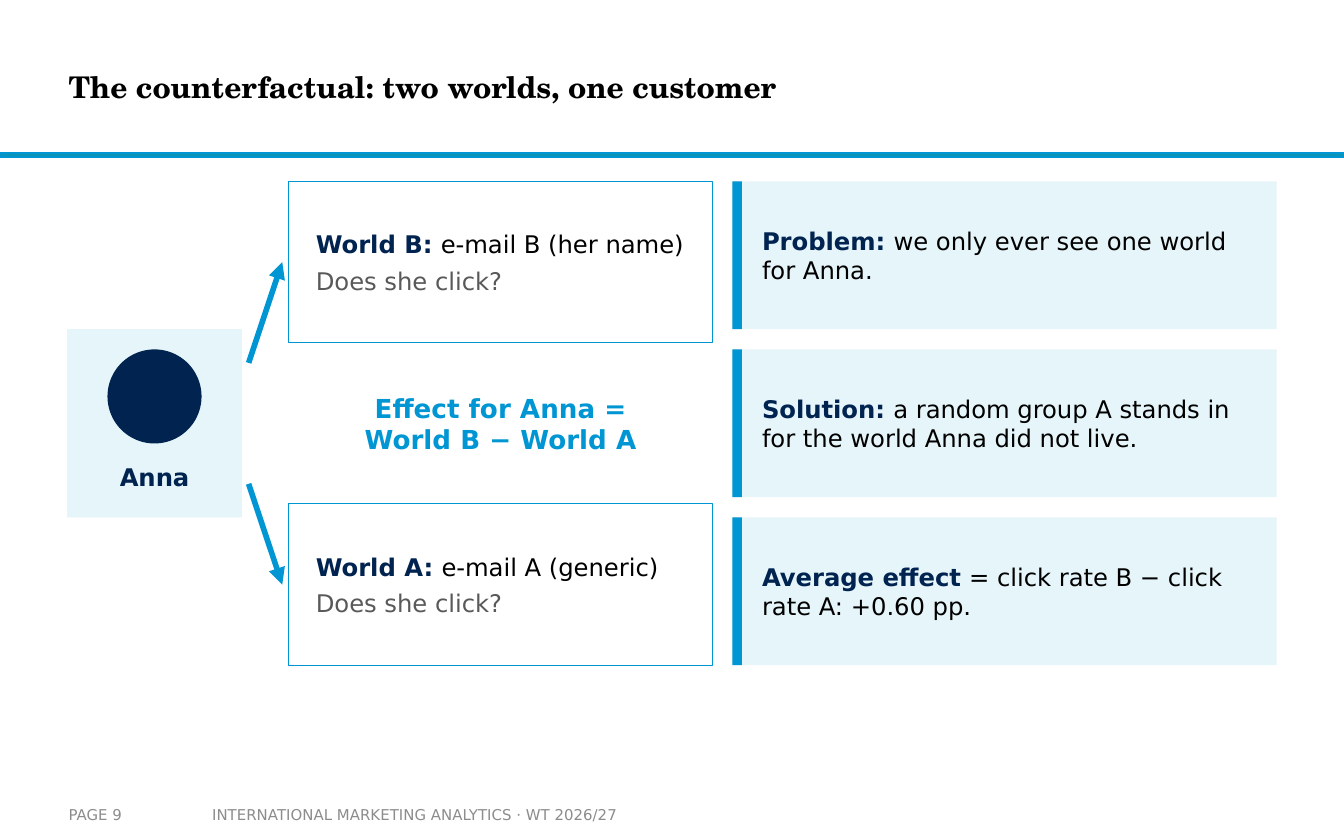
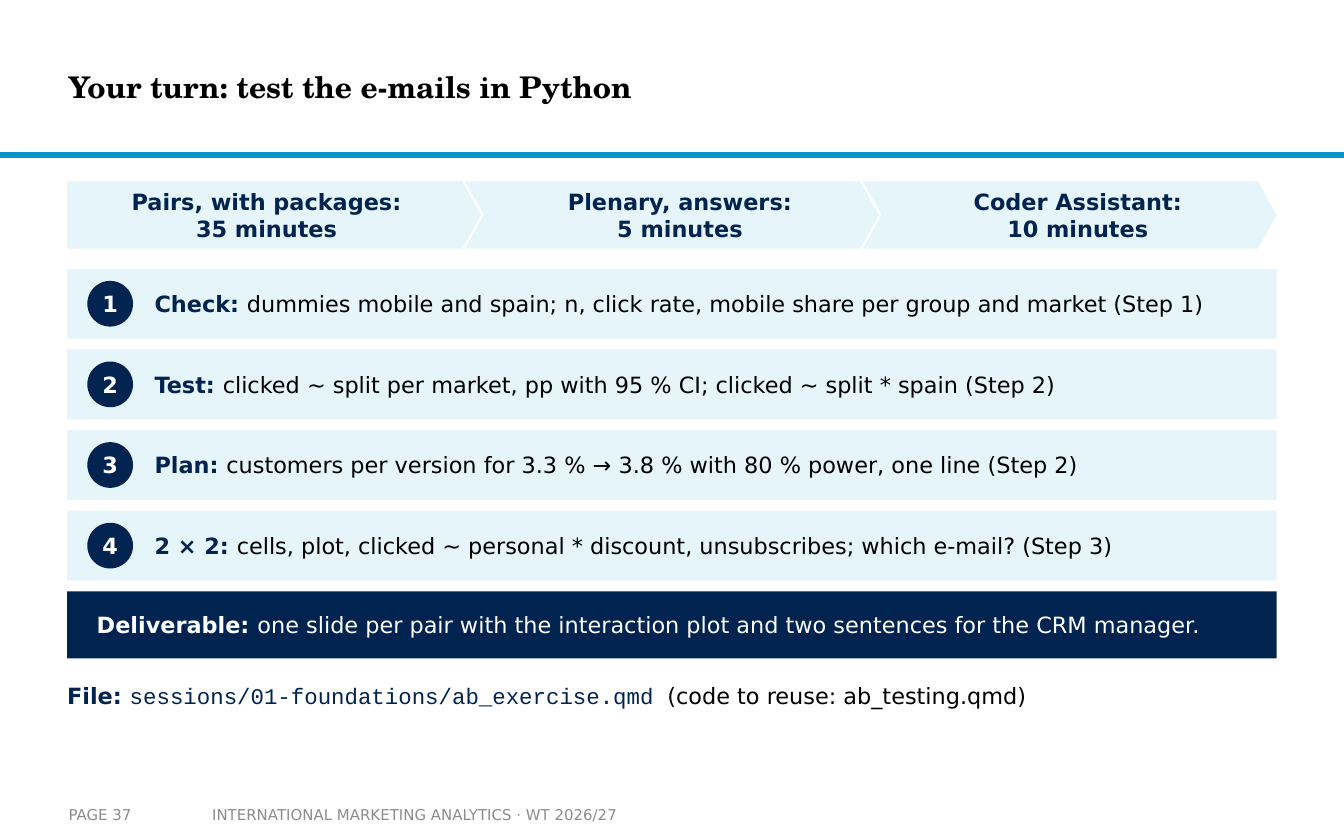
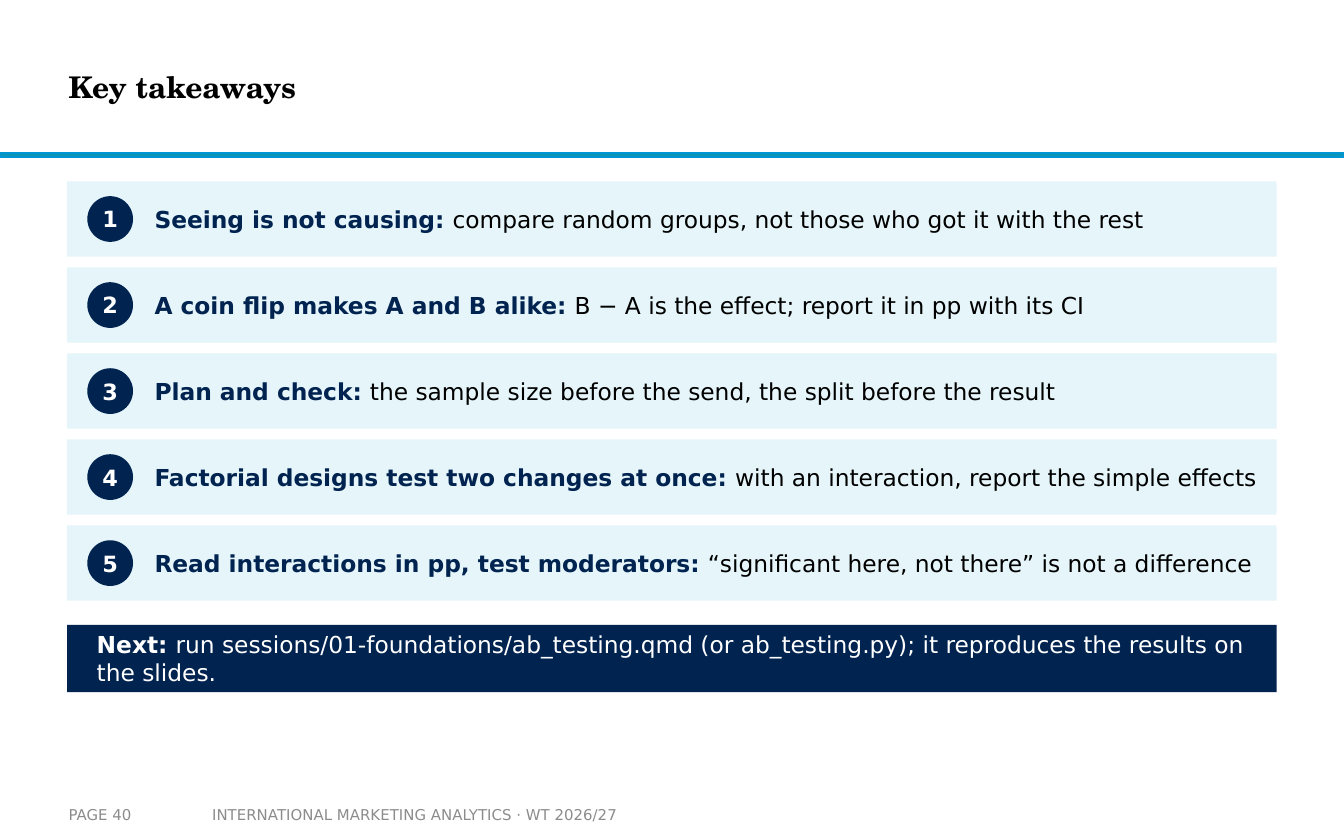
from lxml.etree import SubElement
from pptx import Presentation
from pptx.dml.color import RGBColor
from pptx.enum.shapes import MSO_CONNECTOR, MSO_SHAPE
from pptx.enum.text import MSO_ANCHOR, PP_ALIGN
from pptx.oxml.ns import qn
from pptx.util import Inches, Pt

NAVY = RGBColor(0x00, 0x23, 0x50)
BLUE = RGBColor(0x00, 0x96, 0xD3)
TEAL = RGBColor(0x0C, 0x94, 0xB7)
PALE = RGBColor(0xE5, 0xF5, 0xFA)
GREY = RGBColor(0x59, 0x59, 0x59)
FOOTER_GREY = RGBColor(0x8C, 0x8C, 0x8C)
BLACK = RGBColor(0, 0, 0)
WHITE = RGBColor(0xFF, 0xFF, 0xFF)

BODY_FONT = "DejaVu Sans"
TITLE_FONT = "TeX Gyre Schola"
CODE_FONT = "Courier New"
COURSE = "INTERNATIONAL MARKETING ANALYTICS · WT 2026/27"

LEFT, TOP, WIDTH = 0.5, 1.35, 9


def labelled(label, rest, label_color=NAVY, rest_color=BLACK):
    """Return the runs of a line: a bold label, then plain text."""
    return [(label + " ", label_color, True), (rest, rest_color, False)]


class Deck:
    """Holds the shared style and the slide being built."""

    def __init__(self):
        self.presentation = Presentation()
        self.presentation.slide_width = Inches(10)
        self.presentation.slide_height = Inches(6.25)
        self.slide = None

    def new_slide(self, title, page):
        blank = self.presentation.slide_layouts[6]
        self.slide = self.presentation.slides.add_slide(blank)
        self.shape(MSO_SHAPE.RECTANGLE, 0, 1.14, 10, 0.03, TEAL, BLUE, 1)
        self.text(0.51, 0.15, 7.48, 0.99, [[(title, BLACK, True)]], 16, font=TITLE_FONT)
        for left, width, side, footer in ((1.48, 3.52, 0.1, COURSE),
                                          (0.51, 0.98, 0, f"PAGE {page}")):
            self.text(left, 5.92, width, 0.28, [[(footer, FOOTER_GREY, False)]], 8,
                      insets=(side, 0.05, side, 0.05))

    def shape(self, preset, left, top, width, height, fill, line=None, line_width=0.5):
        shape = self.slide.shapes.add_shape(
            preset, Inches(left), Inches(top), Inches(width), Inches(height))
        shape.shadow.inherit = False
        shape.fill.solid()
        shape.fill.fore_color.rgb = fill
        if line is None:
            shape.line.fill.background()
        else:
            shape.line.color.rgb = line
            shape.line.width = Pt(line_width)
        return shape

    def panel(self, left, top, width, height, fill=PALE, line=None):
        self.shape(MSO_SHAPE.RECTANGLE, left, top, width, height, fill, line)

    def text(self, left, top, width, height, paragraphs, size, **style):
        box = self.slide.shapes.add_textbox(
            Inches(left), Inches(top), Inches(width), Inches(height))
        self.fill_frame(box.text_frame, paragraphs, size, **style)

    def fill_frame(self, frame, paragraphs, size, align=PP_ALIGN.LEFT, space_after=0,
                   insets=(0, 0, 0, 0), font=BODY_FONT):
        """Fill a frame; a run is (text, colour, bold) and may end with its own font."""
        frame.word_wrap = True
        frame.vertical_anchor = MSO_ANCHOR.MIDDLE
        for side, inset in zip(("left", "top", "right", "bottom"), insets):
            setattr(frame, f"margin_{side}", Inches(inset))
        for index, runs in enumerate(paragraphs):
            paragraph = frame.paragraphs[0] if index == 0 else frame.add_paragraph()
            paragraph.alignment = align
            paragraph.space_after = Pt(space_after)
            for words, color, bold, *own_font in runs:
                for number, line in enumerate(words.split("\n")):
                    if number:
                        paragraph.add_line_break()
                    run = paragraph.add_run()
                    run.text = line
                    run.font.color.rgb = color
                    values = {"size": Pt(size), "bold": bold,
                              "name": own_font[0] if own_font else font}
                    for name, value in values.items():
                        setattr(run.font, name, value)

    def arrow(self, start, end):
        arrow = self.slide.shapes.add_connector(
            MSO_CONNECTOR.STRAIGHT, *(Inches(value) for value in (*start, *end)))
        arrow.line.color.rgb = BLUE
        arrow.line.width = Pt(3)
        properties = arrow._element.spPr
        SubElement(properties.find(qn("a:ln")), qn("a:tailEnd"), type="triangle")
        SubElement(properties, qn("a:effectLst"))

    def numbered_rows(self, rows, top, height, size, gap=0.08, badge=0.34):
        for index, (label, rest) in enumerate(rows):
            row_top = top + index * (height + gap)
            self.panel(LEFT, row_top, WIDTH, height)
            circle = self.shape(MSO_SHAPE.OVAL, 0.65, row_top + (height - badge) / 2,
                                badge, badge, NAVY)
            self.fill_frame(circle.text_frame, [[(str(index + 1), WHITE, True)]], 12,
                            PP_ALIGN.CENTER)
            self.text(1.15, row_top, 8.2, height, [labelled(label, rest)], size,
                      space_after=4)

    def banner(self, top, label, rest, size):
        self.panel(LEFT, top, WIDTH, 0.5, NAVY)
        self.text(0.72, top, 8.56, 0.5, [labelled(label, rest, WHITE, WHITE)], size,
                  space_after=4)

    def phases(self, phases, width=3.08, step=2.96):
        for index, phase in enumerate(phases):
            preset = MSO_SHAPE.CHEVRON if index else MSO_SHAPE.PENTAGON
            chevron = self.shape(preset, LEFT + index * step, TOP, width, 0.5, PALE)
            chevron.adjustments[0] = 0.28
            self.fill_frame(chevron.text_frame, [[(phase, NAVY, True)]], 12,
                            PP_ALIGN.CENTER,
                            insets=(0.26 if index else 0.1, 0.02, 0.14, 0.02))

    def world(self, top, label, email):
        self.panel(2.15, top, 3.15, 1.2, WHITE, BLUE)
        self.text(2.35, top, 2.85, 1.2,
                  [labelled(label, email), [("Does she click?", GREY, False)]], 13,
                  space_after=4)

    def callout(self, top, label, rest):
        self.panel(5.45, top, 4.05, 1.1)
        self.panel(5.45, top, 0.07, 1.1, BLUE)
        self.text(5.67, top, 3.73, 1.1, [labelled(label, rest)], 13, space_after=4)


def counterfactual_slide(deck):
    deck.new_slide("The counterfactual: two worlds, one customer", 9)
    deck.panel(LEFT, 2.45, 1.3, 1.4)
    deck.shape(MSO_SHAPE.OVAL, 0.8, 2.6, 0.7, 0.7, NAVY)
    deck.text(LEFT, 3.35, 1.3, 0.4, [[("Anna", NAVY, True)]], 13,
              align=PP_ALIGN.CENTER, space_after=4)
    deck.arrow((1.85, 2.7), (2.1, 1.95))
    deck.arrow((1.85, 3.6), (2.1, 4.35))
    deck.world(TOP, "World B:", "e-mail B (her name)")
    deck.world(3.75, "World A:", "e-mail A (generic)")
    effect = ("Effect for Anna =", "World B − World A")
    deck.text(2.15, 2.55, 3.15, 1.2, [[(line, BLUE, True)] for line in effect], 14,
              align=PP_ALIGN.CENTER)
    callouts = (
        ("Problem:", "we only ever see one world for Anna."),
        ("Solution:", "a random group A stands in for the world Anna did not live."),
        ("Average effect", "= click rate B − click rate A: +0.60 pp."),
    )
    for index, (label, rest) in enumerate(callouts):
        deck.callout(TOP + index * 1.25, label, rest)


def exercise_slide(deck):
    deck.new_slide("Your turn: test the e-mails in Python", 37)
    deck.phases(("Pairs, with packages:\n35 minutes", "Plenary, answers:\n5 minutes",
                 "Coder Assistant:\n10 minutes"))
    deck.numbered_rows((
        ("Check:", "dummies mobile and spain; n, click rate, mobile share per group "
                   "and market (Step 1)"),
        ("Test:", "clicked ~ split per market, pp with 95 % CI; "
                  "clicked ~ split * spain (Step 2)"),
        ("Plan:", "customers per version for 3.3 % → 3.8 % with 80 % power, "
                  "one line (Step 2)"),
        ("2 × 2:", "cells, plot, clicked ~ personal * discount, unsubscribes; "
                   "which e-mail? (Step 3)"),
    ), 2, 0.52, 12)
    deck.banner(4.4, "Deliverable:", "one slide per pair with the interaction plot and "
                "two sentences for the CRM manager.", 12)
    deck.text(LEFT, 5, WIDTH, 0.35, [[
        ("File: ", NAVY, True),
        ("sessions/01-foundations/ab_exercise.qmd ", NAVY, False, CODE_FONT),
        ("(code to reuse: ab_testing.qmd)", BLACK, False),
    ]], 12, space_after=4)


def takeaways_slide(deck):
    deck.new_slide("Key takeaways", 40)
    deck.numbered_rows((
        ("Seeing is not causing:",
         "compare random groups, not those who got it with the rest"),
        ("A coin flip makes A and B alike:",
         "B − A is the effect; report it in pp with its CI"),
        ("Plan and check:",
         "the sample size before the send, the split before the result"),
        ("Factorial designs test two changes at once:",
         "with an interaction, report the simple effects"),
        ("Read interactions in pp, test moderators:",
         "“significant here, not there” is not a difference"),
    ), TOP, 0.56, 12.5)
    deck.banner(4.65, "Next:", "run sessions/01-foundations/ab_testing.qmd "
                "(or ab_testing.py); it reproduces the results on the slides.", 12.5)


def main():
    deck = Deck()
    counterfactual_slide(deck)
    exercise_slide(deck)
    takeaways_slide(deck)
    deck.presentation.save("out.pptx")


if __name__ == "__main__":
    main()
